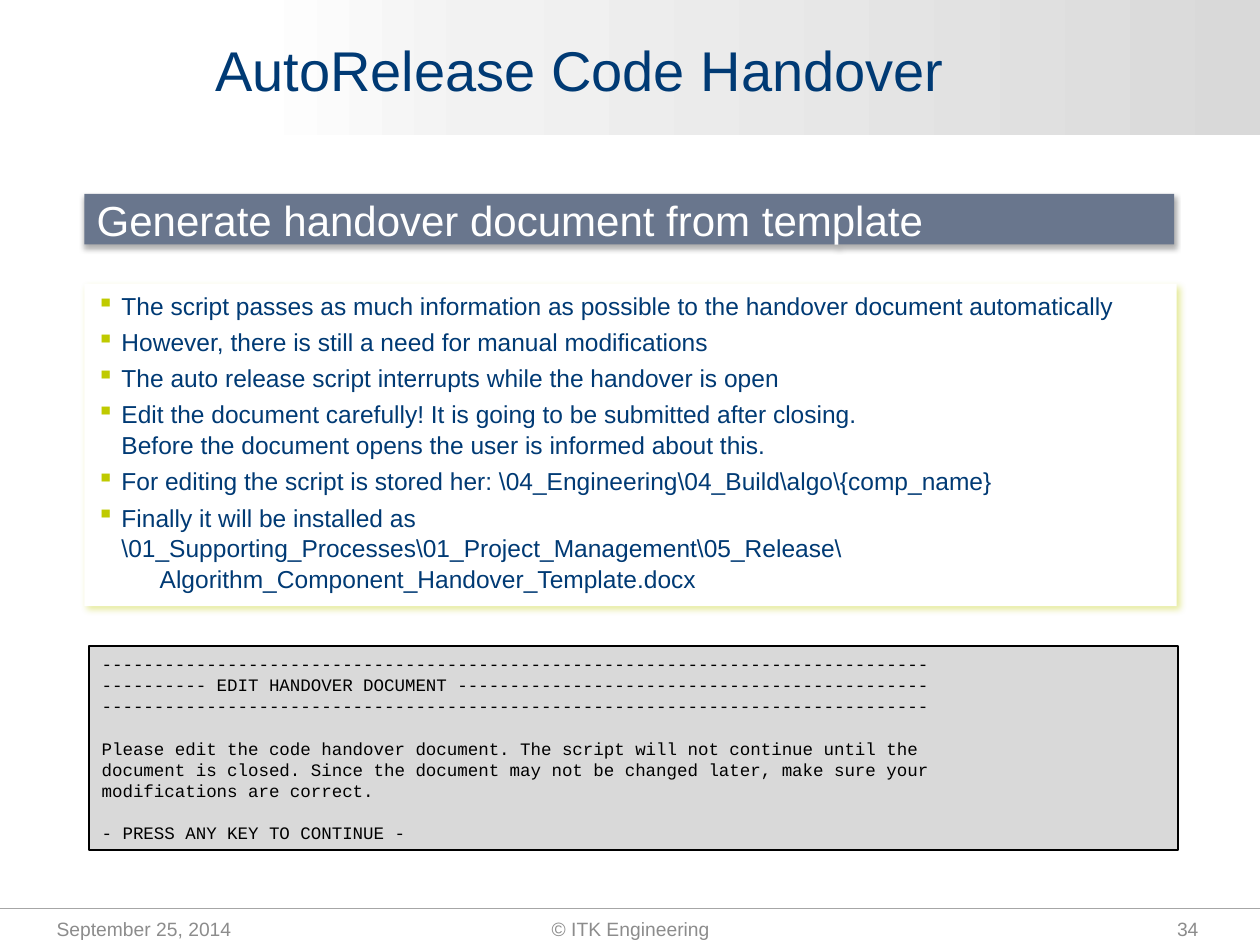
"""Build the code handover slide."""
from copy import deepcopy
from dataclasses import dataclass

from lxml import etree
from pptx import Presentation
from pptx.dml.color import RGBColor
from pptx.enum.shapes import MSO_CONNECTOR, MSO_SHAPE
from pptx.enum.text import MSO_ANCHOR, PP_ALIGN
from pptx.oxml.ns import qn
from pptx.util import Cm, Pt

RECT = MSO_SHAPE.RECTANGLE
LINE = MSO_CONNECTOR.STRAIGHT
TOP, MIDDLE = MSO_ANCHOR.TOP, MSO_ANCHOR.MIDDLE
LEFT, CENTER, RIGHT = PP_ALIGN.LEFT, PP_ALIGN.CENTER, PP_ALIGN.RIGHT


@dataclass(frozen=True)
class Theme:
    sans: str = "Arial"
    mono: str = "Courier New"
    navy: str = "003A74"
    slate: str = "69768D"
    lime: str = "BFCA00"
    white: str = "FFFFFF"
    black: str = "000000"
    pale: str = "F2F2F2"
    light: str = "D9D9D9"
    rule: str = "A6A6A6"
    gray: str = "8C8C8C"
    title: float = 32
    head: float = 24
    body: float = 14
    foot: float = 11
    code: float = 10
    pitch: float = 12.1


def rgb(color):
    return RGBColor.from_string(color)


def node(parent, tag, **attrs):
    return etree.SubElement(parent, qn(tag), {k: str(v) for k, v in attrs.items()})


class Deck:
    def __init__(self, theme):
        self.theme = theme
        self.file = Presentation()
        self.file.slide_width, self.file.slide_height = Cm(25.4), Cm(19.05)
        self.slide = self.file.slides.add_slide(self.file.slide_layouts[6])

    def style(self, para, size, color, font=None):
        for run in para.runs:
            run.font.size = Pt(size)
            run.font.name = font or self.theme.sans
            run.font.color.rgb = rgb(color)
        for mark in para._p.findall(qn("a:br")):
            mark.insert(0, deepcopy(para.runs[0]._r.rPr))

    def frame(self, shape, anchor, top=0.13):
        frame = shape.text_frame
        frame.word_wrap = True
        frame.vertical_anchor = anchor
        frame.margin_left = frame.margin_right = Cm(0.25)
        frame.margin_top, frame.margin_bottom = Cm(top), Cm(0.13)
        return frame

    def text(self, box, words, size, color, align=LEFT):
        shape = self.slide.shapes.add_textbox(*map(Cm, box))
        frame = self.frame(shape, MIDDLE)
        frame.text = words
        frame.paragraphs[0].alignment = align
        self.style(frame.paragraphs[0], size, color)

    def rect(self, box, fill, line=None):
        shape = self.slide.shapes.add_shape(RECT, *map(Cm, box))
        shape.shadow.inherit = False
        shape.fill.solid()
        shape.fill.fore_color.rgb = rgb(fill)
        if line:
            shape.line.color.rgb = rgb(line)
            shape.line.width = Pt(1)
        else:
            shape.line.fill.background()
        return shape

    def shade(self, shape, color, alpha, blur, dist, angle):
        effects = shape._element.spPr.find(qn("a:effectLst"))
        outer = node(effects, "a:outerShdw", blurRad=Pt(blur), dist=Pt(dist),
                     dir=angle * 60000, algn="t", rotWithShape=0)
        tint = node(outer, "a:srgbClr", val=color)
        node(tint, "a:alpha", val=alpha * 1000)

    def fade(self, box, stops):
        shape = self.rect(box, self.theme.white)
        shape.fill.gradient()
        shape.fill.gradient_angle = 180
        group = shape._element.spPr.find(qn("a:gradFill")).find(qn("a:gsLst"))
        group.append(deepcopy(group[-1]))
        for stop, (place, color) in zip(shape.fill.gradient_stops, stops):
            stop.position = place
            stop.color.rgb = rgb(color)

    def rule(self, y):
        line = self.slide.shapes.add_connector(LINE, 0, Cm(y), Cm(25.4), Cm(y))
        line.line.color.rgb = rgb(self.theme.rule)
        line.line.width = Pt(0.75)
        node(line._element.spPr, "a:effectLst")

    def band(self, box, words):
        shape = self.rect(box, self.theme.slate)
        self.shade(shape, self.theme.black, 32, 3.5, 2.2, 90)
        frame = self.frame(shape, MIDDLE)
        frame.text = words
        frame.paragraphs[0].alignment = LEFT
        self.style(frame.paragraphs[0], self.theme.head, self.theme.white)

    def code(self, box, blocks):
        shape = self.rect(box, self.theme.light, self.theme.black)
        frame = self.frame(shape, TOP)
        frame.text = "\n".join("\n".join(block) for block in blocks)
        heads = [block[0] for block in blocks[1:]]
        for para in frame.paragraphs:
            para.alignment = LEFT
            para.line_spacing = Pt(self.theme.pitch)
            if para.text in heads:
                para.space_before = Pt(self.theme.pitch)
            self.style(para, self.theme.code, self.theme.black, self.theme.mono)

    def bullets(self, box, items):
        shape = self.rect(box, self.theme.white)
        self.shade(shape, self.theme.lime, 40, 4, 3, 45)
        frame = self.frame(shape, TOP, 0.12)
        for i, item in enumerate(items):
            para = frame.add_paragraph() if i else frame.paragraphs[0]
            para.text = item
            props = para._p.get_or_add_pPr()
            props.set("marL", str(Cm(0.5)))
            props.set("indent", str(-Cm(0.5)))
            node(node(props, "a:buClr"), "a:srgbClr", val=self.theme.lime)
            node(props, "a:buChar", char="▪")
            para.alignment = LEFT
            para.line_spacing = 1.05
            para.space_before = Pt(3 if i else 0)
            self.style(para, self.theme.body, self.theme.navy)


def main():
    theme = Theme()
    deck = Deck(theme)
    deck.fade((0, -0.05, 25.4, 2.77),
              [(0, theme.light), (0.62, theme.pale), (0.8, theme.white)])
    deck.rule(18.31)
    deck.text((4.09, 0.33, 20.4, 2.11), "AutoRelease Code Handover",
              theme.title, theme.navy)
    for x, width, words, align in [
        (0.89, 5.92, "September 25, 2014", LEFT),
        (8.69, 8.05, "© ITK Engineering", CENTER),
        (18.49, 5.92, "34", RIGHT),
    ]:
        deck.text((x, 18.21, width, 1.02), words, theme.foot, theme.gray, align)
    deck.band((1.7, 3.91, 21.97, 1.02), "Generate handover document from template")
    dashes = "-" * 79
    deck.code((1.8, 13.03, 21.95, 4.11), [
        [dashes, "---------- EDIT HANDOVER DOCUMENT ".ljust(79, "-"), dashes],
        ["Please edit the code handover document. The script will not continue until the",
         "document is closed. Since the document may not be changed later, make sure your",
         "modifications are correct."],
        ["- PRESS ANY KEY TO CONTINUE -"],
    ])
    deck.bullets((1.7, 5.72, 22.02, 6.5), [
        "The script passes as much information as possible to the handover document automatically",
        "However, there is still a need for manual modifications",
        "The auto release script interrupts while the handover is open",
        "Edit the document carefully! It is going to be submitted after closing.\n"
        "Before the document opens the user is informed about this.",
        "For editing the script is stored her: \\04_Engineering\\04_Build\\algo\\{comp_name}",
        "Finally it will be installed as\n"
        "\\01_Supporting_Processes\\01_Project_Management\\05_Release\\\n"
        "\tAlgorithm_Component_Handover_Template.docx",
    ])
    deck.file.save("out.pptx")


if __name__ == "__main__":
    main()
